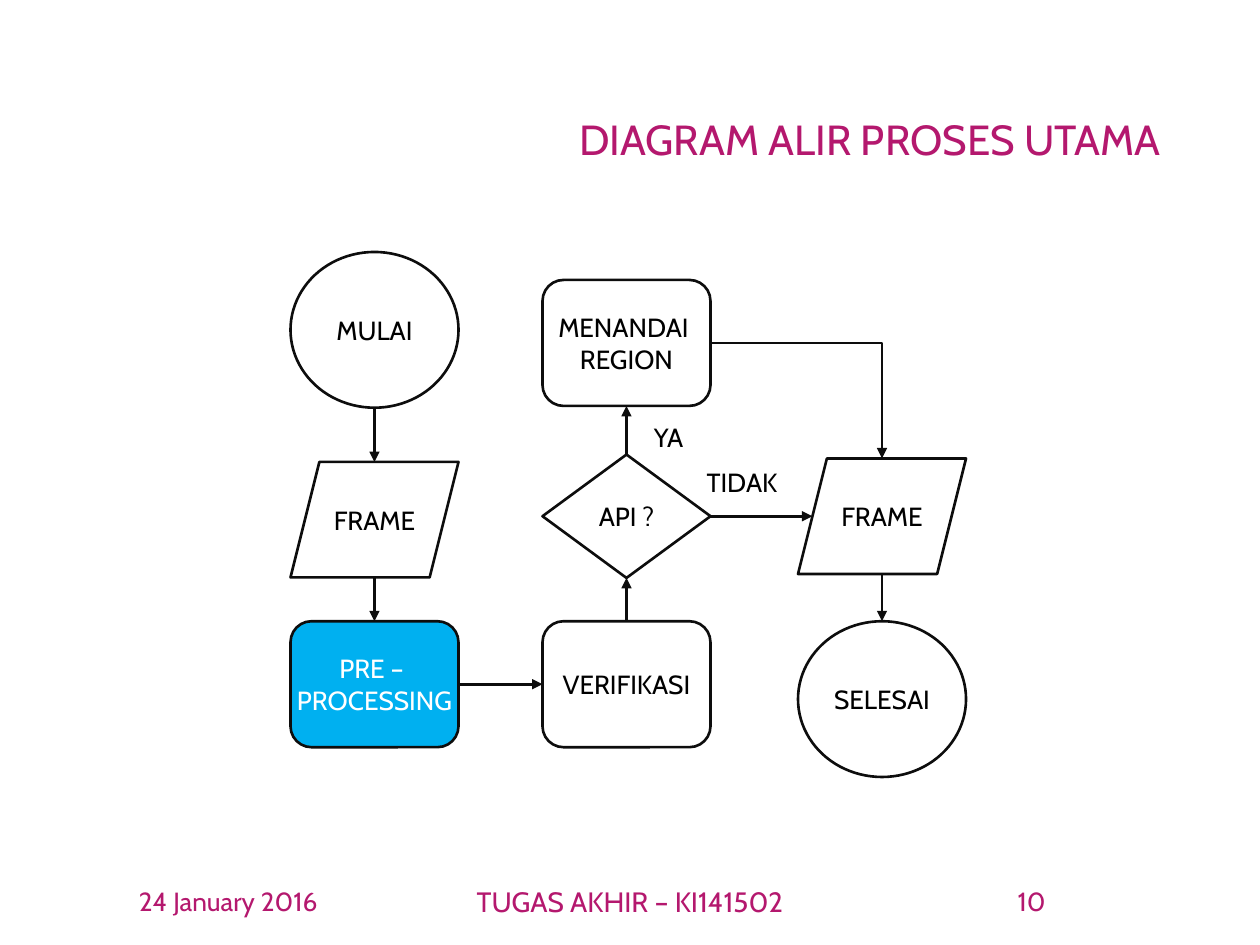
from lxml import etree
from pptx import Presentation
from pptx import util as u
from pptx.dml.color import RGBColor
from pptx.enum import shapes, text
from pptx.oxml.ns import qn

MAGENTA = RGBColor(0xB4, 0x18, 0x6E)
INK = RGBColor(0x0D, 0x0D, 0x0D)
BLACK = RGBColor(0, 0, 0)
WHITE = RGBColor(0xFF, 0xFF, 0xFF)
BLUE = RGBColor(0x00, 0xB0, 0xF0)

CIRCLE = shapes.MSO_SHAPE.OVAL
DATA = shapes.MSO_SHAPE.PARALLELOGRAM
PROCESS = shapes.MSO_SHAPE.ROUNDED_RECTANGLE
DECISION = shapes.MSO_SHAPE.DIAMOND
HEIGHTS = {CIRCLE: 89, DATA: 66, PROCESS: 72, DECISION: 70.5}

TOP, LEFT, BOTTOM, RIGHT = range(4)
SIDES = {TOP: (0.5, 0), LEFT: (0, 0.5), BOTTOM: (0.5, 1), RIGHT: (1, 0.5)}


class Flowchart:
    font = "Cabin"
    size = 15
    line_width = 1.5
    node_width = 96

    def __init__(self, slide):
        self.s = slide

    def add_lines(self, tf, lines, color, size=None, align=text.PP_ALIGN.CENTER):
        for i, line in enumerate(lines):
            p = tf.paragraphs[0] if i == 0 else tf.add_paragraph()
            p.alignment = align
            r = p.add_run()
            r.text = line
            r.font.name = self.font
            r.font.size = u.Pt(size or self.size)
            r.font.color.rgb = color

    def title(self, words, x, y, w, h):
        sp = self.s.shapes.title
        sp.left, sp.top, sp.width, sp.height = map(u.Pt, (x, y, w, h))
        tf = sp.text_frame
        tf.auto_size = text.MSO_AUTO_SIZE.NONE
        tf.vertical_anchor = text.MSO_ANCHOR.MIDDLE
        self.add_lines(tf, [words], MAGENTA, 24, text.PP_ALIGN.RIGHT)
        tf.paragraphs[0].line_spacing = 0.9

    def label(self, words, x, y, w, h, color=BLACK, size=None,
              anchor=text.MSO_ANCHOR.TOP):
        tf = self.s.shapes.add_textbox(*map(u.Pt, (x, y, w, h))).text_frame
        tf.word_wrap = True
        tf.vertical_anchor = anchor
        self.add_lines(tf, [words], color, size)

    def node(self, kind, x, y, *lines, fill=None, color=BLACK):
        sp = self.s.shapes.add_shape(
            kind, *map(u.Pt, (x, y, self.node_width, HEIGHTS[kind])))
        sp.shadow.inherit = False
        if fill is None:
            sp.fill.background()
        else:
            sp.fill.solid()
            sp.fill.fore_color.rgb = fill
        sp.line.color.rgb = INK
        sp.line.width = u.Pt(self.line_width)
        tf = sp.text_frame
        tf.word_wrap = False
        tf.vertical_anchor = text.MSO_ANCHOR.MIDDLE
        self.add_lines(tf, lines, color)
        return sp

    def side_point(self, sp, side):
        fx, fy = SIDES[side]
        x, y = sp.left + fx * sp.width, sp.top + fy * sp.height
        if sp.auto_shape_type == DATA and side in (LEFT, RIGHT):
            slant = sp.adjustments[0] * sp.height / 2
            x += slant if side == LEFT else -slant
        return int(x), int(y)

    def arrow(self, a, side_a, b, side_b, bent=False):
        kind = shapes.MSO_CONNECTOR.ELBOW if bent else shapes.MSO_CONNECTOR.STRAIGHT
        c = self.s.shapes.add_connector(
            kind, *self.side_point(a, side_a), *self.side_point(b, side_b))
        c.line.color.rgb = INK
        c.line.width = u.Pt(self.line_width)
        props = c._element.spPr
        if bent:
            props.find(qn("a:prstGeom")).set("prst", "bentConnector2")
        else:
            for join, sp, side in ((c.begin_connect, a, side_a),
                                   (c.end_connect, b, side_b)):
                if sp.auto_shape_type in (PROCESS, DECISION):
                    join(sp, side)
        etree.SubElement(props.find(qn("a:ln")), qn("a:tailEnd"), type="triangle")
        etree.SubElement(props, qn("a:effectLst"))


def main():
    prs = Presentation()
    prs.slide_width, prs.slide_height = u.Pt(720), u.Pt(540)
    f = Flowchart(prs.slides.add_slide(prs.slide_layouts[5]))

    f.title("DIAGRAM ALIR PROSES UTAMA", 49.5, 28.75, 621, 104.5)

    # Footer
    for words, x, w, size in (("24 January 2016", 49.5, 162, 15),
                              ("TUGAS AKHIR – KI141502", 238.5, 243, 16),
                              ("10", 508.5, 162, 15)):
        f.label(words, x, 500.5, w, 28.75, MAGENTA, size, text.MSO_ANCHOR.MIDDLE)

    # Nodes, in three columns that share the lower row
    col1, col2, col3 = 166, 310, 456
    row = 355
    start = f.node(CIRCLE, col1, 144, "MULAI")
    frame_in = f.node(DATA, col1, 264, "FRAME")
    pre = f.node(PROCESS, col1, row, "PRE – ", "PROCESSING", fill=BLUE, color=WHITE)
    verify = f.node(PROCESS, col2, row, "VERIFIKASI")
    fire = f.node(DECISION, col2, 259.75, "API ?")
    mark = f.node(PROCESS, col2, 160, "MENANDAI ", "REGION")
    frame_out = f.node(DATA, col3, 262, "FRAME")
    end = f.node(CIRCLE, col3, row, "SELESAI")

    # Flow
    f.arrow(start, BOTTOM, frame_in, TOP)
    f.arrow(frame_in, BOTTOM, pre, TOP)
    f.arrow(pre, RIGHT, verify, LEFT)
    f.arrow(verify, TOP, fire, BOTTOM)
    f.arrow(fire, TOP, mark, BOTTOM)
    f.arrow(fire, RIGHT, frame_out, LEFT)
    f.arrow(mark, RIGHT, frame_out, TOP, bent=True)
    f.arrow(frame_out, BOTTOM, end, TOP)

    # Branch labels
    f.label("YA", 334, 237.5, 96, 25)
    f.label("TIDAK", 376, 262.75, 96, 25)

    prs.save("out.pptx")


if __name__ == "__main__":
    main()
